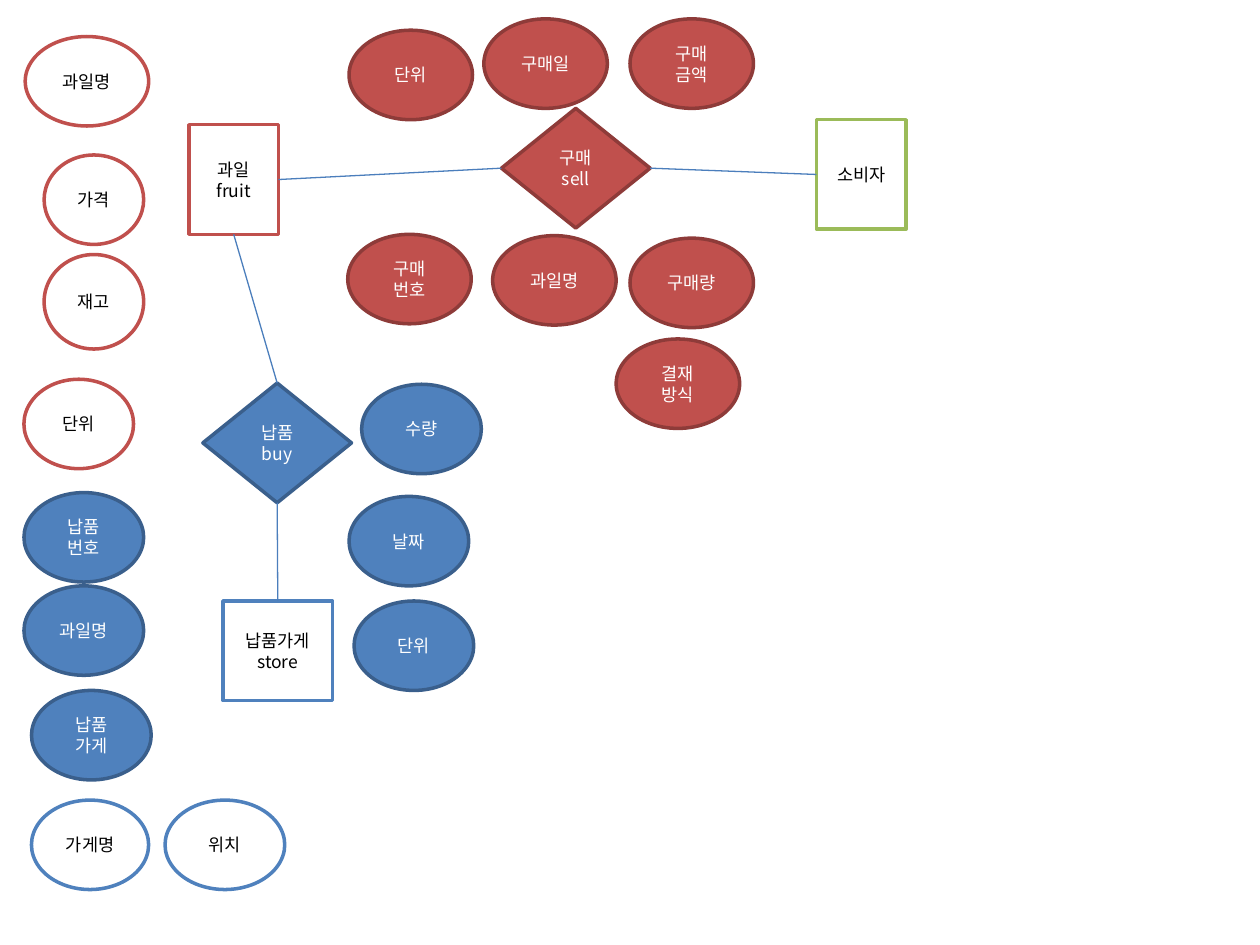
from lxml import etree
from pptx import Presentation
from pptx import util as u
from pptx.dml.color import RGBColor
from pptx.enum import shapes, text
from pptx.oxml import ns

COLS, ROWS = 100, 75
FONT = "Noto Sans CJK KR"
WHITE, BLACK = "FFFFFF", "000000"
RED, BLUE, GREEN = "C0504D", "4F81BD", "9BBB59"
RECT = shapes.MSO_SHAPE.RECTANGLE
OVAL = shapes.MSO_SHAPE.OVAL
GEM = shapes.MSO_SHAPE.DIAMOND
# Connection sites of rectangles and diamonds
TOP, LEFT, BASE, RIGHT = range(4)

deck = Presentation()
deck.slide_width, deck.slide_height = u.Inches(10), u.Inches(7.5)
slide = deck.slides.add_slide(deck.slide_layouts[6])


def tint(code):
    """Turn a hex string into a colour."""
    return RGBColor.from_string(code)


def grid(x, y):
    """Turn columns and rows into slide lengths."""
    return int(deck.slide_width * x / COLS), int(deck.slide_height * y / ROWS)


def write(shape, words, size=10, color=BLACK, font=FONT):
    """Centre the words in a shape, one paragraph for each line."""
    frame = shape.text_frame
    frame.text = words
    frame.word_wrap = True
    frame.vertical_anchor = text.MSO_ANCHOR.MIDDLE
    frame.margin_left = frame.margin_right = 0
    for para in frame.paragraphs:
        para.alignment = text.PP_ALIGN.CENTER
        for run in para.runs:
            run.font.size = u.Pt(size)
            run.font.name = font
            run.font.color.rgb = tint(color)
            face = etree.SubElement(run.font._element, ns.qn("a:ea"))
            face.set("typeface", font)


def node(kind, x, y, w, h, words, fill, edge, ink):
    """Draw one labelled shape and return it."""
    shape = slide.shapes.add_shape(kind, *grid(x, y), *grid(w, h))
    shape.shadow.inherit = False
    shape.fill.solid()
    shape.fill.fore_color.rgb = tint(fill)
    shape.line.color.rgb = tint(edge)
    shape.line.width = u.Pt(2)
    write(shape, words, color=ink)
    return shape


def entity(left, top, core, traits, edge):
    """Draw an outlined entity with its attributes; return its rectangle."""
    look = WHITE, edge, BLACK
    for words, x, y, w, h in traits:
        node(OVAL, left + x, top + y, w, h, words, *look)
    words, x, y, w, h = core
    return node(RECT, left + x, top + y, w, h, words, *look)


def action(left, top, core, traits, wide, fill, edge):
    """Draw a filled relation with equal attributes; return its diamond."""
    look = fill, edge, WHITE
    for words, x, y in traits:
        node(OVAL, left + x, top + y, wide, 7.1, words, *look)
    words, x, y = core
    return node(GEM, left + x, top + y, 11.8, 9.5, words, *look)


def link(start, out, end, into):
    """Join two shapes at the given connection sites."""
    line = slide.shapes.add_connector(shapes.MSO_CONNECTOR.STRAIGHT, 0, 0, 0, 0)
    line.begin_connect(start, out)
    line.end_connect(end, into)
    line.line.color.rgb = tint("4B7EBC")
    line.line.width = u.Pt(0.75)
    etree.SubElement(line._element.spPr, ns.qn("a:effectLst"))


fruit = entity(1.9, 2.9, ("과일\nfruit", 13.1, 7, 7.1, 8.7), [
    ("과일명", 0.1, 0, 9.8, 7.1),
    ("가격", 1.6, 9.4, 7.9, 7.1),
    ("재고", 1.6, 17.3, 7.9, 7.5),
    ("단위", 0, 27.2, 8.7, 7.1),
], RED)
store = entity(2.5, 47.7, ("납품가게\nstore", 15.2, 0, 8.7, 7.9), [
    ("가게명", 0, 15.8, 9.3, 7.1),
    ("위치", 10.6, 15.8, 9.5, 7.1),
], BLUE)
buyer = entity(64.8, 9.5, ("소비자", 0, 0, 7.1, 8.7), [], GREEN)
buy = action(1.9, 30.4, ("납품\nbuy", 14.2, 0), [
    ("납품\n번호", 0, 8.7),
    ("과일명", 0, 16.1),
    ("납품\n가게", 0.6, 24.4),
    ("수량", 26.8, 0.1),
    ("날짜", 25.8, 9),
    ("단위", 26.2, 17.3),
], 9.5, BLUE, "3A5F8C")
sell = action(27.6, 1.5, ("구매\nsell", 12.2, 7.1), [
    ("단위", 0.1, 0.9),
    ("구매일", 10.8, 0),
    ("구매\n금액", 22.4, 0),
    ("구매\n번호", 0, 17.1),
    ("과일명", 11.5, 17.2),
    ("구매량", 22.4, 17.4),
    ("결재\n방식", 21.3, 25.4),
], 9.8, RED, "8E3B39")

link(fruit, BASE, buy, TOP)
link(buy, BASE, store, TOP)
link(fruit, RIGHT, sell, LEFT)
link(sell, RIGHT, buyer, LEFT)

deck.save("out.pptx")
